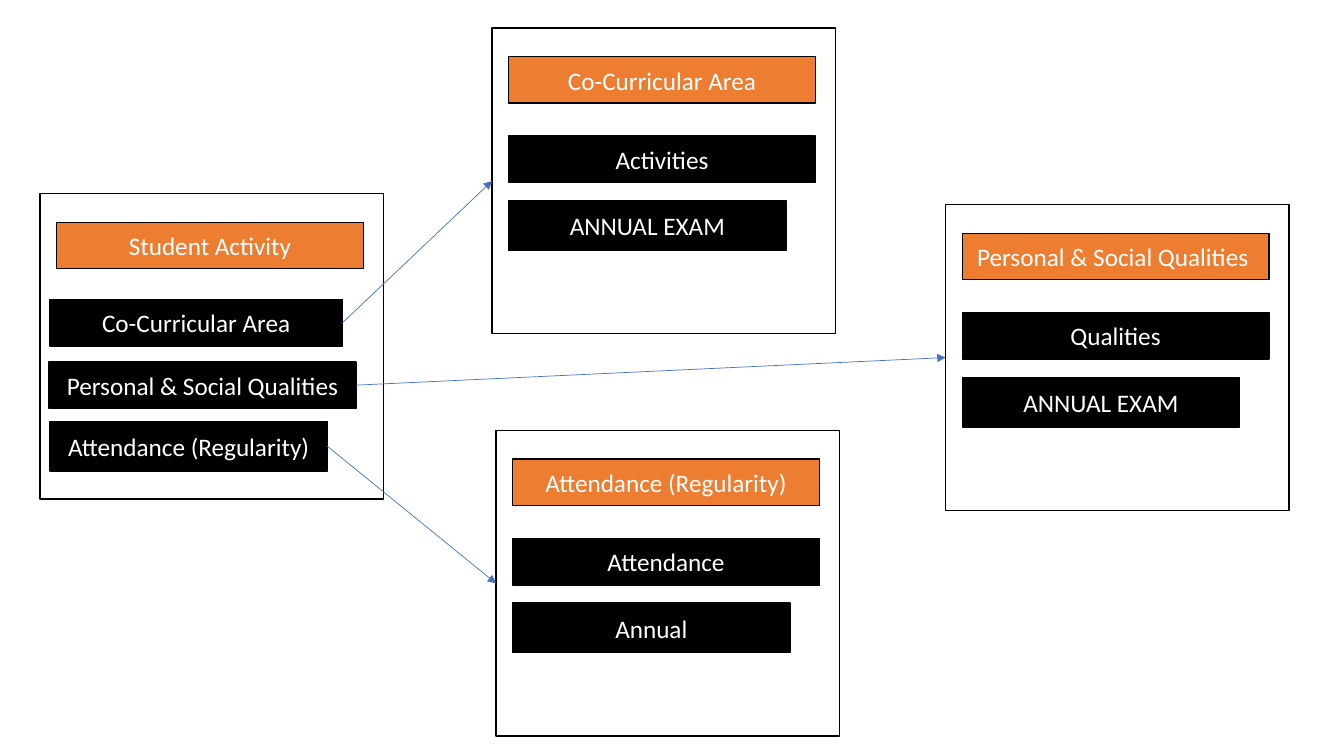
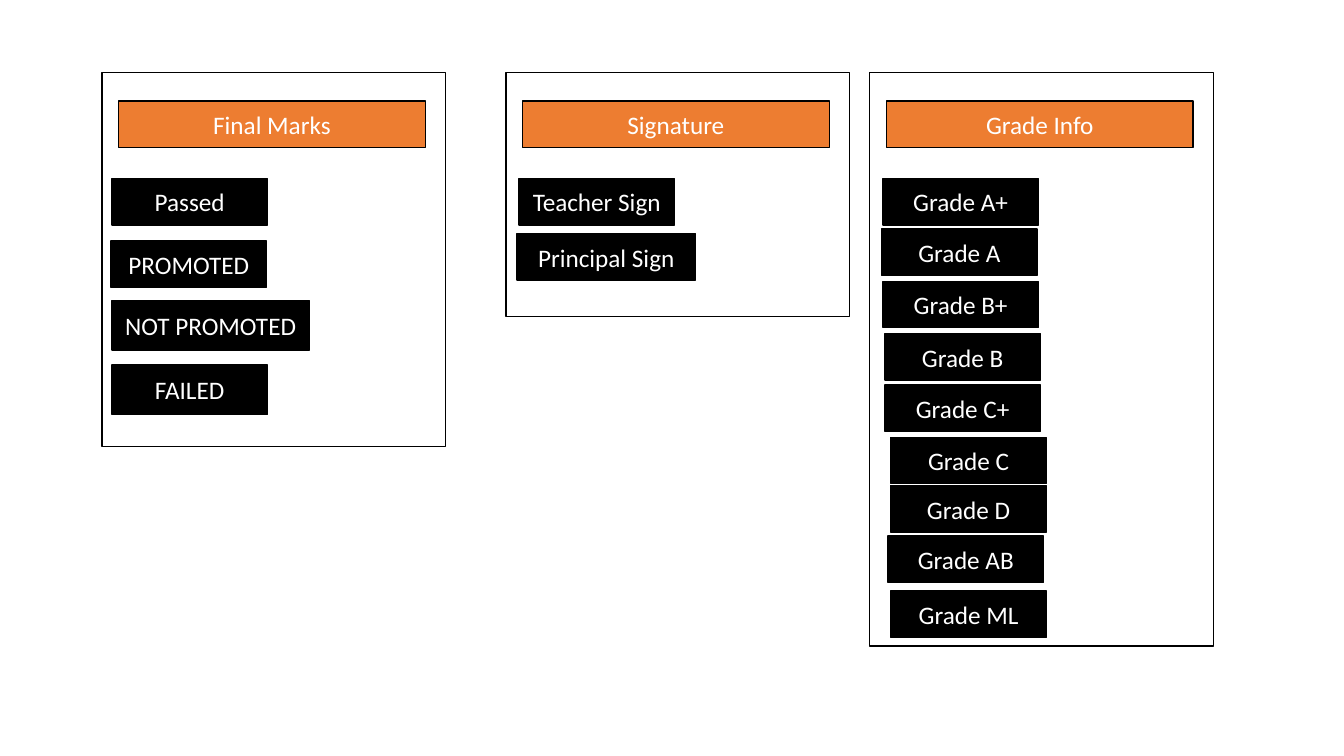
from lxml import etree
from pptx import Presentation
from pptx import util as u
from pptx.dml.color import RGBColor
from pptx.enum import shapes, text
from pptx.oxml.ns import qn

BLACK = RGBColor(0x00, 0x00, 0x00)
WHITE = RGBColor(0xFF, 0xFF, 0xFF)
ORANGE = RGBColor(0xED, 0x7D, 0x31)
BLUE = RGBColor(0x44, 0x72, 0xC4)

# All lengths are centimetres.
CARD_WIDTH = 8.66
HEADER_LEFT, HEADER_TOP, HEADER_WIDTH = 0.42, 0.72, 7.73
LOW, TALL = 1.17, 1.25
BADGE = 3.92


def detail_rows(first, second):
    return [(first, HEADER_LEFT, 2.72, HEADER_WIDTH, LOW),
            (second, HEADER_LEFT, 4.35, 6.99, TALL)]


GRADES = [("Grade A+", 0.33, 2.67), ("Grade A", 0.30, 3.94), ("Grade B+", 0.33, 5.26),
          ("Grade B", 0.38, 6.58), ("Grade C+", 0.38, 7.87), ("Grade C", 0.53, 9.19),
          ("Grade D", 0.53, 10.41), ("Grade AB", 0.46, 11.68), ("Grade ML", 0.53, 13.06)]

# Card: title, left, top, height, rows.
# Row: label, left and top within the card, width, height.
ACTIVITY_CARDS = [
    ("Student Activity", 1.01, 4.88, 7.70, [
        ("Co-Curricular Area", 0.25, 2.67, 7.37, LOW),
        ("Personal & Social Qualities", 0.23, 4.24, HEADER_WIDTH, LOW),
        ("Attendance (Regularity)", 0.25, 5.74, 6.99, TALL)]),
    ("Co-Curricular Area", 12.40, 0.71, 7.70, detail_rows("Activities", "ANNUAL EXAM")),
    ("Personal & Social Qualities ", 23.83, 5.16, 7.70, detail_rows("Qualities", "ANNUAL EXAM")),
    ("Attendance (Regularity)", 12.50, 10.85, 7.70, detail_rows("Attendance", "Annual")),
]
RESULT_CARDS = [
    ("Final Marks", 2.57, 1.83, 9.42, [
        ("Passed", 0.25, 2.67, BADGE, LOW),
        ("PROMOTED", 0.23, 4.24, BADGE, LOW),
        ("NOT PROMOTED", 0.25, 5.74, 4.98, TALL),
        ("FAILED", 0.25, 7.37, BADGE, TALL)]),
    ("Signature", 12.75, 1.83, 6.15, [
        ("Teacher Sign", 0.33, 2.67, BADGE, LOW),
        ("Principal Sign", 0.28, 4.06, 4.50, LOW)]),
    ("Grade Info", 21.92, 1.83, 14.45,
     [(label, left, top, BADGE, LOW) for label, left, top in GRADES]),
]


def add_box(page, left, top, width, height, fill=None, label=""):
    box = page.shapes.add_shape(shapes.MSO_SHAPE.RECTANGLE,
                                u.Cm(left), u.Cm(top), u.Cm(width), u.Cm(height))
    box.shadow.inherit = False
    box.line.color.rgb = BLACK
    box.line.width = u.Pt(1)
    if fill is None:
        box.fill.background()
        return box
    box.fill.solid()
    box.fill.fore_color.rgb = fill
    box.text_frame.vertical_anchor = text.MSO_ANCHOR.MIDDLE
    para = box.text_frame.paragraphs[0]
    para.text = label
    para.alignment = text.PP_ALIGN.CENTER
    para.font.name = "Calibri"
    para.font.size = u.Pt(18)
    para.font.color.rgb = WHITE
    return box


def add_card(page, title, left, top, height, rows):
    """Draw a card; return its frame and its row boxes."""
    row_boxes = [add_box(page, left + dx, top + dy, row_width, row_height, BLACK, label)
                 for label, dx, dy, row_width, row_height in rows]
    frame = add_box(page, left, top, CARD_WIDTH, height)
    add_box(page, left + HEADER_LEFT, top + HEADER_TOP, HEADER_WIDTH, LOW, ORANGE, title)
    return frame, row_boxes


def add_arrow(page, start, end):
    """Join the right side of start to the left side of end."""
    arrow = page.shapes.add_connector(shapes.MSO_CONNECTOR.STRAIGHT, 0, 0, 0, 0)
    arrow.begin_connect(start, 3)
    arrow.end_connect(end, 1)
    arrow.line.color.rgb = BLUE
    arrow.line.width = u.Pt(0.5)
    etree.SubElement(arrow.line._get_or_add_ln(), qn("a:tailEnd"), type="triangle")
    etree.SubElement(arrow._element.spPr, qn("a:effectLst"))


def main():
    deck = Presentation()
    deck.slide_width, deck.slide_height = u.Cm(33.87), u.Cm(19.05)
    blank = deck.slide_layouts[6]

    page = deck.slides.add_slide(blank)
    (_, links), *details = [add_card(page, *card) for card in ACTIVITY_CARDS]
    for link, (frame, _) in zip(links, details):
        add_arrow(page, link, frame)

    page = deck.slides.add_slide(blank)
    for card in RESULT_CARDS:
        add_card(page, *card)

    deck.save("out.pptx")


if __name__ == "__main__":
    main()
